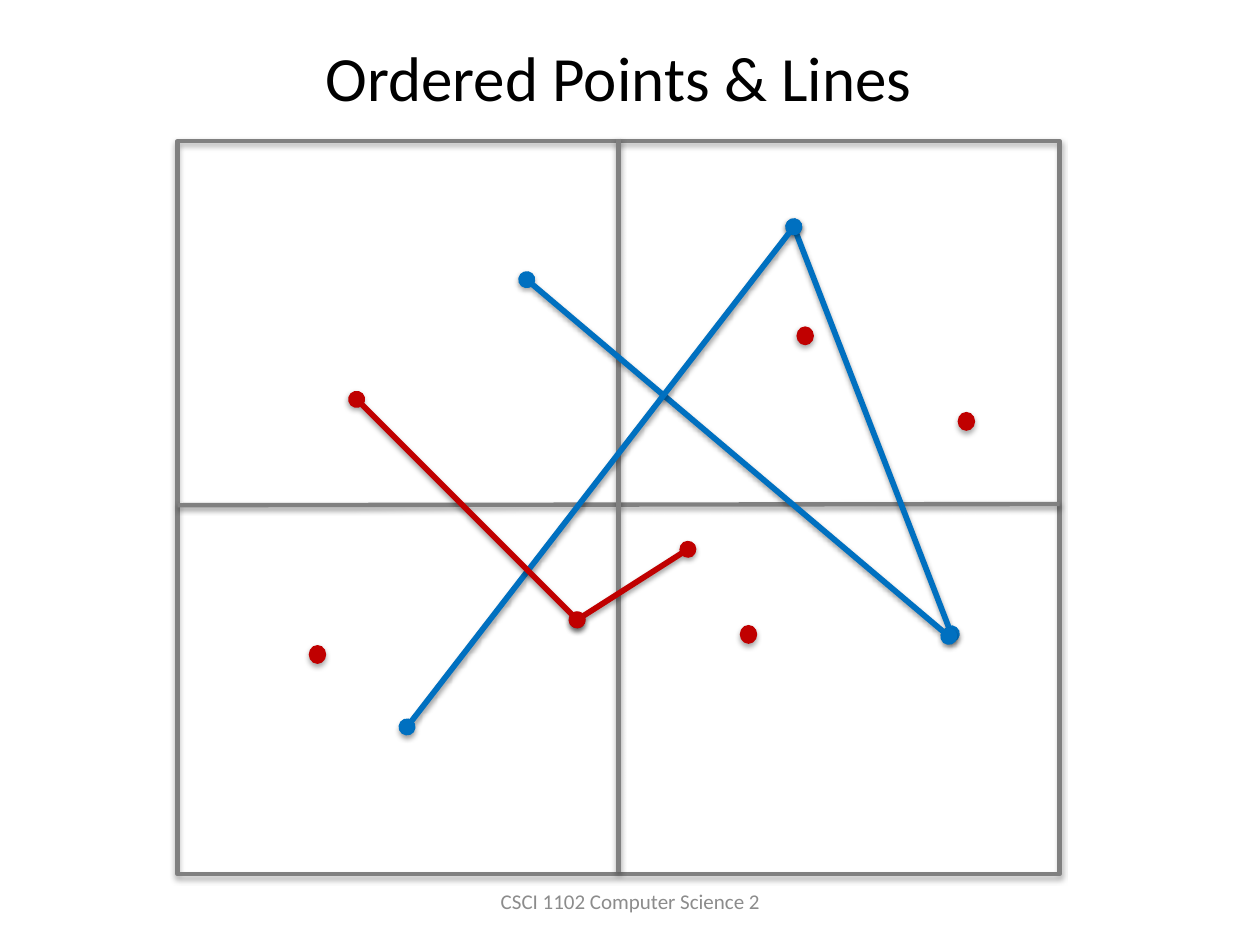
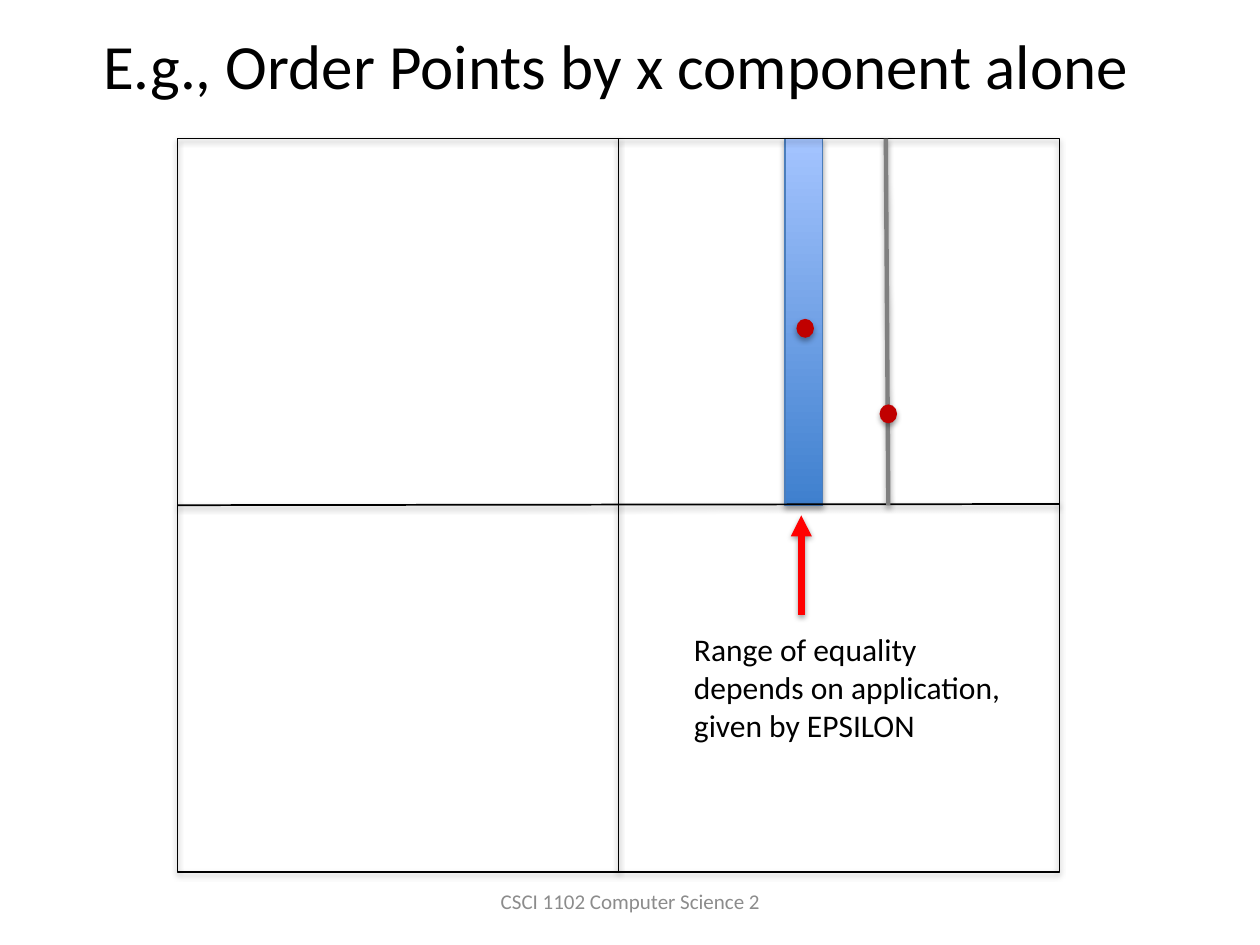
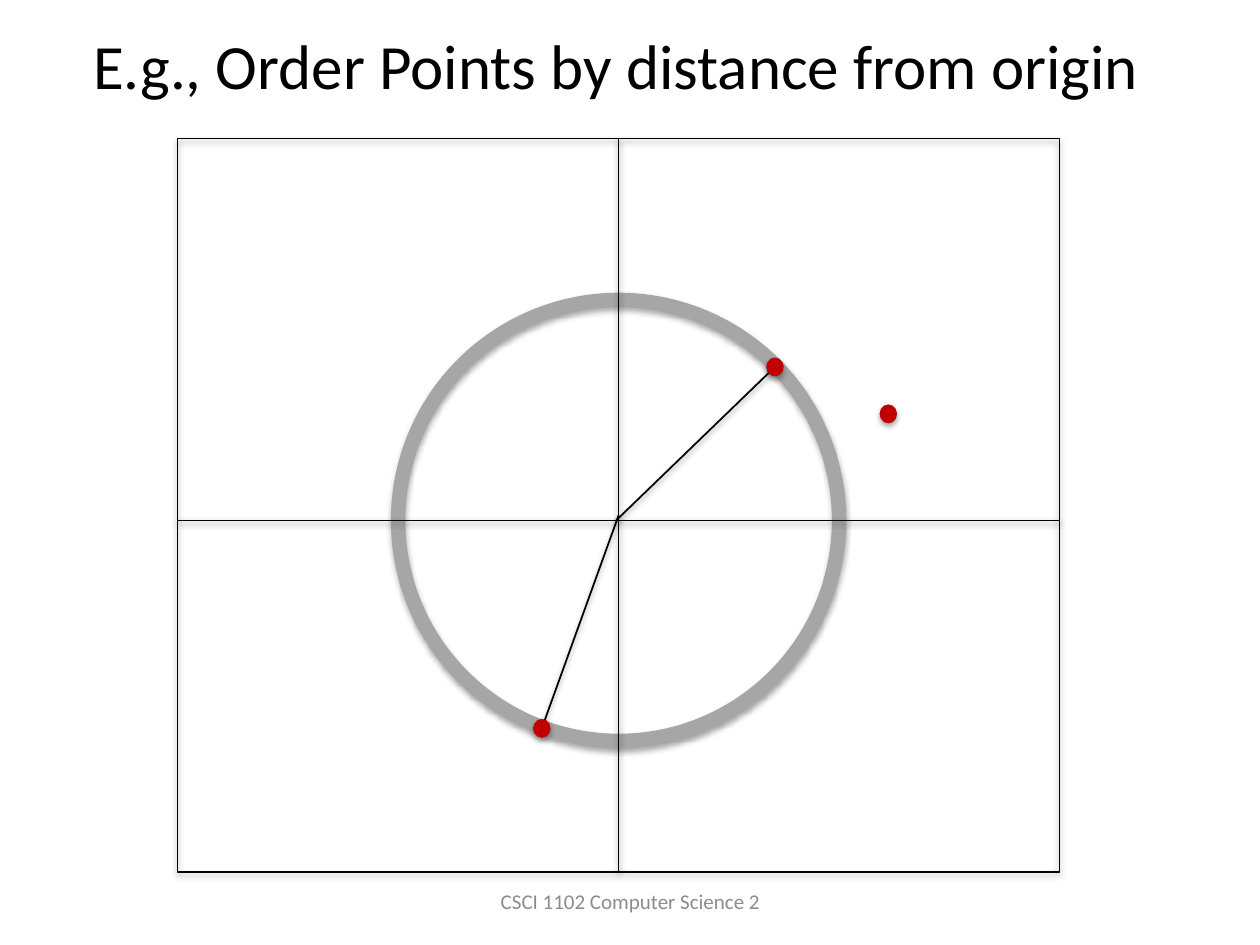
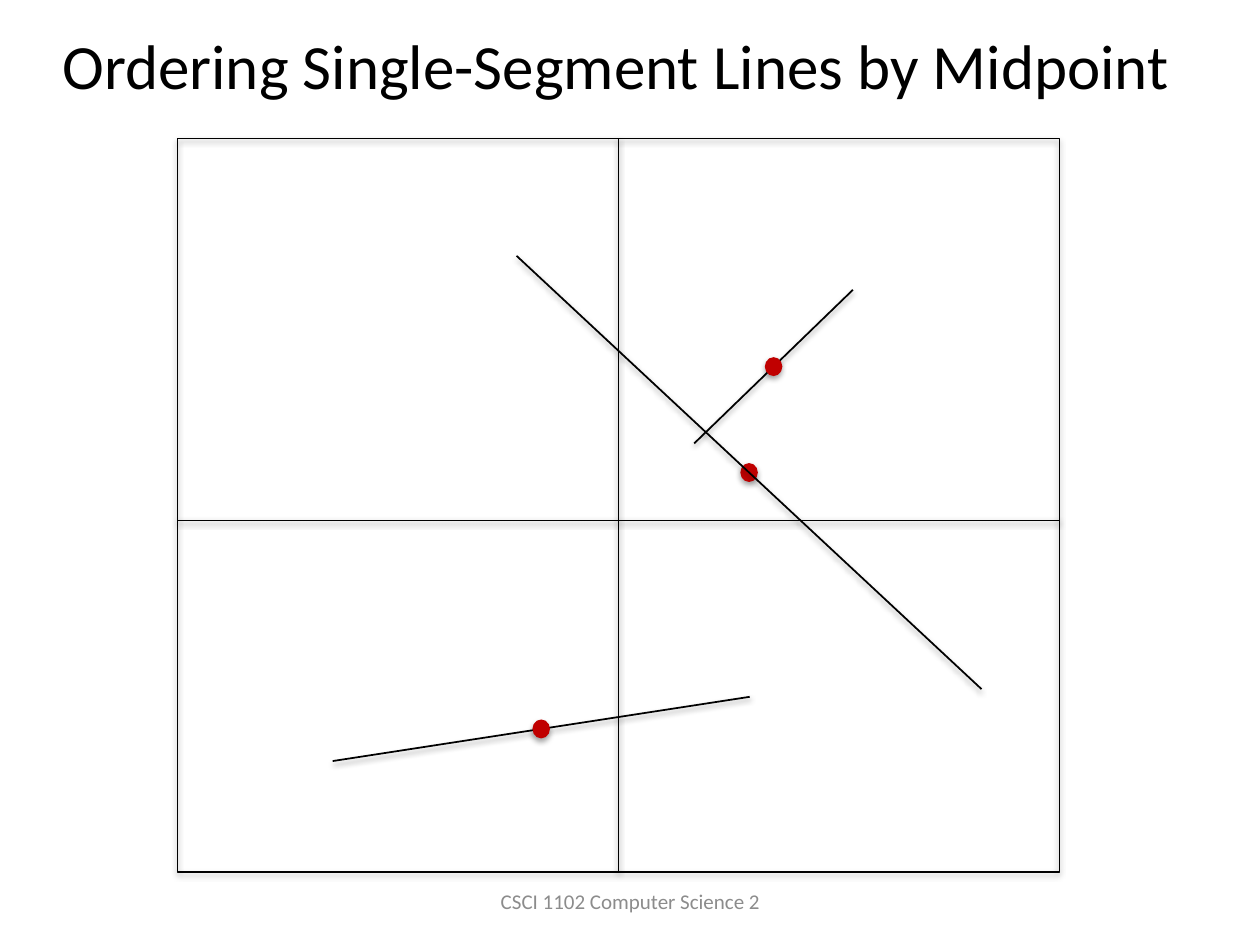
from lxml.etree import SubElement
from pptx import Presentation
from pptx.dml.color import RGBColor
from pptx.enum.shapes import MSO_CONNECTOR, MSO_SHAPE
from pptx.enum.text import MSO_ANCHOR, MSO_AUTO_SIZE, PP_ALIGN
from pptx.oxml.ns import qn
from pptx.util import Pt

FONT = "Calibri"
BLACK, GREY, PALE, RING = "000000", "808080", "8C8C8C", "A6A6A6"
BLUE, RED, BRIGHT = "0070C0", "C00000", "FF0000"
FOOTER = "CSCI 1102 Computer Science 2"
HEAD = (28, 0, 648, 73)
FOOT = (246.25, 500.4, 228, 28.8)
PLOT = (101.5, 79.2, 504, 419)
MID = PLOT[2] / 2
DOT = (10, 10.8)


def tint(code):
    return RGBColor.from_string(code)


def shade(part, gap, alpha):
    """Soft shadow below a shape or line."""
    effect = SubElement(part._element.spPr, qn("a:effectLst"))
    drop = SubElement(effect, qn("a:outerShdw"), blurRad=str(Pt(3.15)),
                      dist=str(Pt(gap)), dir="5400000", rotWithShape="0")
    color = SubElement(drop, qn("a:srgbClr"), val=BLACK)
    SubElement(color, qn("a:alpha"), val=str(alpha * 1000))


def write(slide, box, text, size, color=BLACK, center=True):
    label = slide.shapes.add_textbox(*map(Pt, box))
    frame = label.text_frame
    frame.word_wrap = True
    frame.text = text
    para = frame.paragraphs[0]
    para.font.name, para.font.size = FONT, Pt(size)
    para.font.color.rgb = tint(color)
    if center:
        frame.vertical_anchor = MSO_ANCHOR.MIDDLE
        para.alignment = PP_ALIGN.CENTER
    else:
        frame.auto_size = MSO_AUTO_SIZE.SHAPE_TO_FIT_TEXT


class Plot:
    """Drawing area; all places are relative to its top left corner."""

    def __init__(self, slide, box=PLOT):
        self.slide = slide
        self.left, self.top, self.width, self.height = box

    def place(self, x, y):
        return Pt(self.left + x), Pt(self.top + y)

    def shape(self, kind, box, fill=None, edge=None, weight=1):
        x, y, width, height = box
        part = self.slide.shapes.add_shape(
            kind, *self.place(x, y), Pt(width), Pt(height))
        if isinstance(fill, tuple):
            part.fill.gradient()
            part.fill.gradient_angle = 90
            for stop, code in zip(part.fill.gradient_stops, fill):
                stop.color.rgb = tint(code)
            for stop, spot in zip(part.fill.gradient_stops, (0, 1)):
                stop.position = spot
        elif fill:
            part.fill.solid()
            part.fill.fore_color.rgb = tint(fill)
        else:
            part.fill.background()
        if edge:
            part.line.color.rgb = tint(edge)
            part.line.width = Pt(weight)
        else:
            part.line.fill.background()
        shade(part, 1.8, 35)

    def line(self, start, end, color=BLACK, weight=1, head=None, tail=None):
        part = self.slide.shapes.add_connector(
            MSO_CONNECTOR.STRAIGHT, *self.place(*start), *self.place(*end))
        part.line.color.rgb = tint(color)
        part.line.width = Pt(weight)
        for tag, kind in (("a:headEnd", head), ("a:tailEnd", tail)):
            if kind:
                SubElement(part.line._get_or_add_ln(), qn(tag), type=kind)
        shade(part, 1.6, 38)

    def link(self, start, end, color):
        self.line(start, end, color, 3.25, "oval", "oval")

    def dots(self, spots):
        wide, high = DOT
        for x, y in spots:
            self.shape(MSO_SHAPE.OVAL,
                       (x - wide / 2, y - high / 2, wide, high), RED)

    def frame(self, color=BLACK, weight=1, drop=0):
        self.shape(MSO_SHAPE.RECTANGLE, (0, drop, self.width, self.height),
                   None, color, weight)

    def axes(self, level, tilt=0, color=BLACK, weight=1):
        self.line((self.width, level), (0, level + tilt), color, weight)
        self.line((MID, 0), (MID, self.height), color, weight)


def begin(deck, title, box=HEAD):
    """New slide with its title and footer."""
    slide = deck.slides.add_slide(deck.slide_layouts[6])
    write(slide, box, title, 36)
    write(slide, FOOT, FOOTER, 12, PALE)
    return Plot(slide)


def points(deck):
    plot = begin(deck, "Ordered Points & Lines", (29.5, 5, 648, 77))
    plot.frame(GREY, 2.5, 1.4)
    plot.axes(208.8, 0.7, GREY, 2.5)
    # Linked points
    peak, elbow = (352.1, 50.4), (228.3, 275)
    plot.link(peak, (442.1, 283), BLUE)
    plot.link((199.5, 80.6), (440.7, 284.4), BLUE)
    plot.link((291.6, 234.7), elbow, RED)
    plot.link(peak, (131.1, 336.2), BLUE)
    plot.link((102.3, 149), elbow, RED)
    # Single points
    plot.dots([(358.6, 112.7), (450.7, 161.6), (326.2, 283.3), (79.9, 294.8)])


def across(deck):
    plot = begin(deck, "E.g., Order Points by x component alone")
    # Band of equal x
    plot.shape(MSO_SHAPE.RECTANGLE, (347.1, 0, 21.6, 209.5),
               ("3F80CE", "A4C4FF"), "4B7EBC", 0.75)
    plot.frame()
    plot.axes(208.8, 0.7)
    plot.line((404.7, 0), (406.1, 209.5), GREY, 2.5)
    plot.dots([(358.6, 108.4), (406.1, 157.3)])
    # Arrow and its note
    plot.line((356.4, 272.2), (356.4, 215.3), BRIGHT, 4, tail="triangle")
    write(plot.slide, (plot.left + 288, plot.top + 277.2, 197.3, 72.7),
          "Range of equality depends on application, given by EPSILON",
          18, center=False)


def radius(deck):
    plot = begin(deck, "E.g., Order Points by distance from origin")
    level, size = 218.2, 252
    near, low = (341.3, 130.5), (208.1, 337)
    plot.line(near, (250.6, level))
    plot.line((MID, 215.3), low)
    plot.frame()
    # Circle of equal distance
    plot.shape(MSO_SHAPE.OVAL,
               (MID - size / 2, level - size / 2, size, size),
               None, RING, 8.25)
    plot.axes(level)
    plot.dots([near, (406.1, 157.3), low])


def middle(deck):
    plot = begin(deck, "Ordering Single-Segment Lines by Midpoint")
    parts = [((385.9, 86.4), (295.2, 174.2)),
             ((459.4, 314.6), (193.7, 67)),
             ((326.9, 319), (88.6, 355.7))]
    short, long, flat = parts
    plot.line(*short)
    plot.line(*flat)
    plot.frame()
    plot.axes(218.2)
    # A dot halfway along each segment
    plot.dots([((a + c) / 2, (b + d) / 2) for (a, b), (c, d) in parts])
    plot.line(*long)


def main():
    deck = Presentation()
    deck.slide_width, deck.slide_height = Pt(720), Pt(540)
    for build in (points, across, radius, middle):
        build(deck)
    deck.save("out.pptx")


if __name__ == "__main__":
    main()
